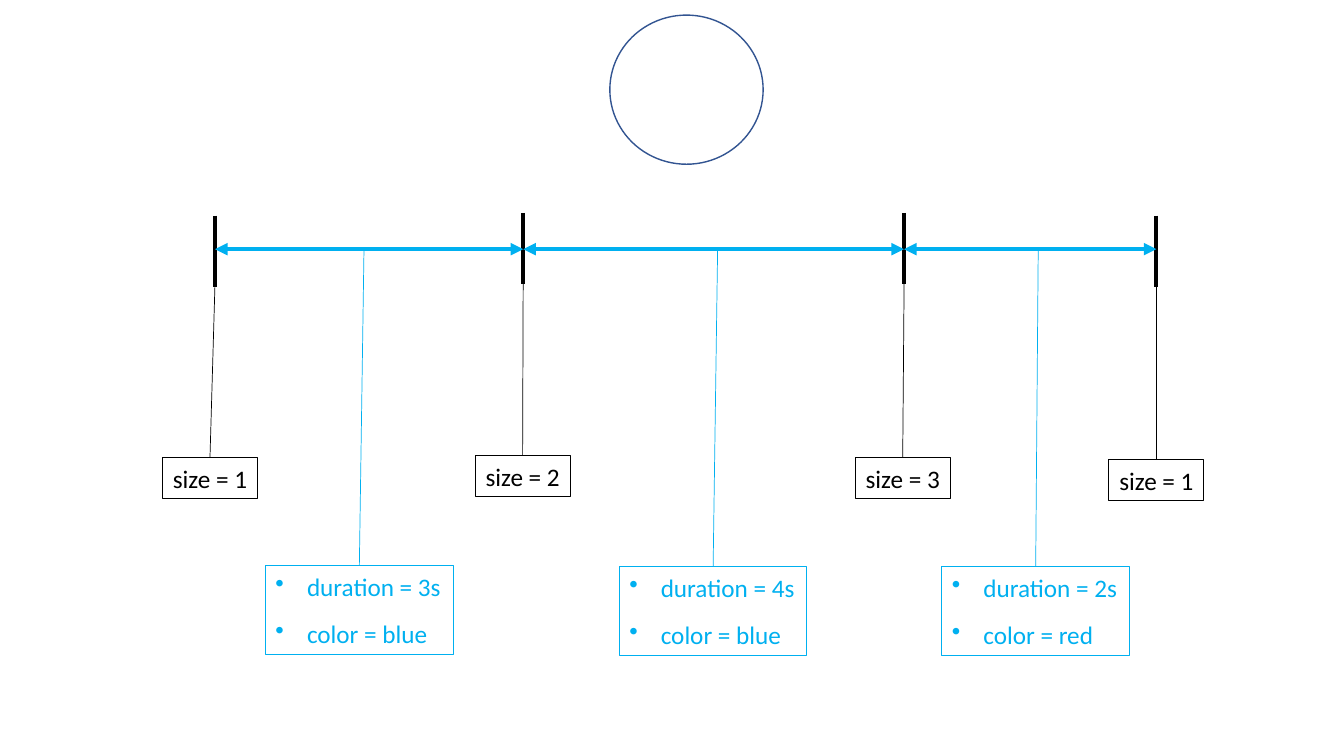
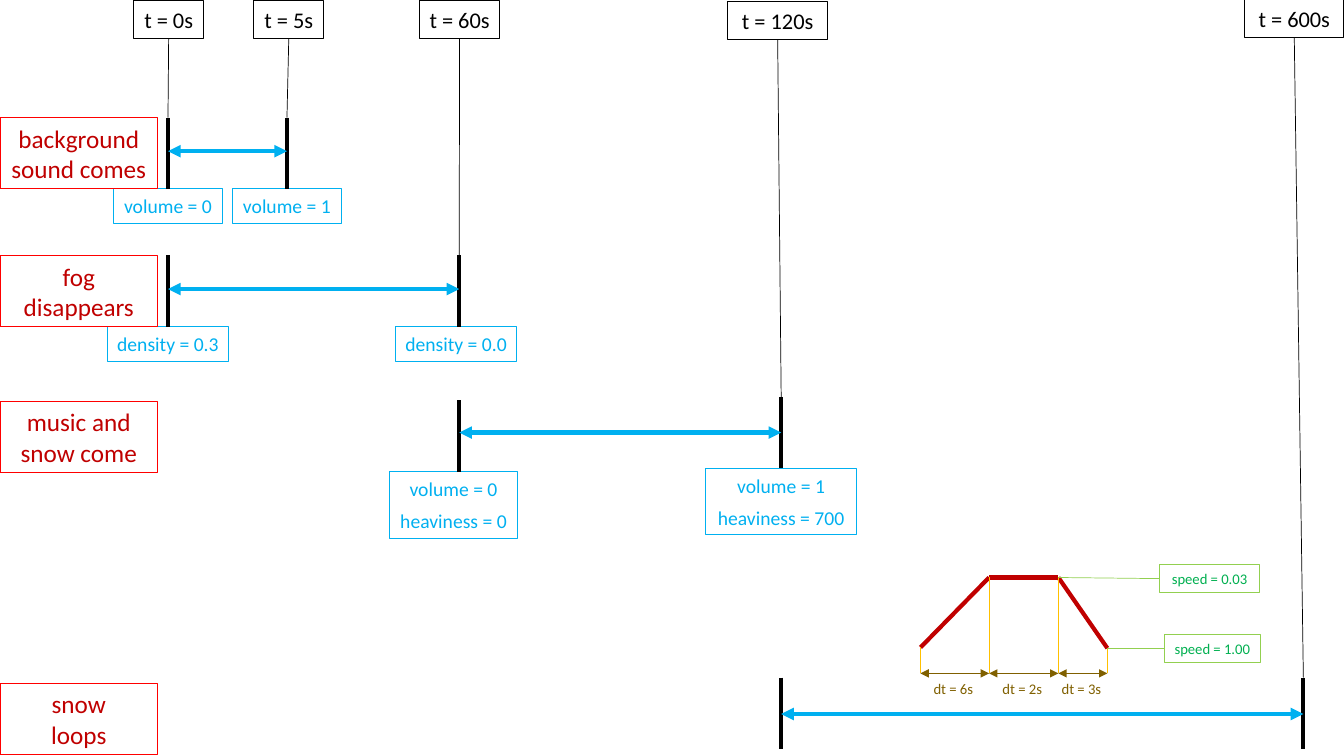
from dataclasses import dataclass
from itertools import pairwise
from typing import NamedTuple, Optional, Union

from lxml.etree import SubElement
from pptx import Presentation
from pptx.dml.color import RGBColor
from pptx.enum.shapes import MSO_CONNECTOR, MSO_SHAPE
from pptx.enum.text import MSO_ANCHOR, PP_ALIGN
from pptx.oxml.ns import qn
from pptx.shapes.autoshape import Shape
from pptx.slide import Slide
from pptx.util import Pt

FONT = "Calibri"
BLACK = RGBColor(0x00, 0x00, 0x00)
SKY = RGBColor(0x00, 0xB0, 0xF0)
NAVY = RGBColor(0x32, 0x54, 0x91)
RED = RGBColor(0xFF, 0x00, 0x00)
CRIMSON = RGBColor(0xC0, 0x00, 0x00)
BROWN = RGBColor(0x80, 0x60, 0x00)
AMBER = RGBColor(0xFF, 0xC0, 0x00)
LIME = RGBColor(0x92, 0xD0, 0x50)
GREEN = RGBColor(0x00, 0xB0, 0x50)

TICK_LENGTH = 51
CAPTION_WIDTH = 112.5
BULLET_INDENT = 22.5
TOP, LEFT, BOTTOM = 0, 1, 2


class Point(NamedTuple):
    """A place on the page, in points."""

    x: float
    y: float


class Joint(NamedTuple):
    """The middle of one side of a box."""

    box: Shape
    site: int


End = Union[Point, Joint]


@dataclass(frozen=True)
class Stroke:
    """The look of a line."""

    colour: RGBColor
    width: float
    arrows: bool = False


@dataclass(frozen=True)
class LabelStyle:
    """The look of a text label."""

    colour: RGBColor
    outline: Optional[RGBColor]
    size: float
    height: float
    space_before: float = 0
    inset: float = 0
    bulleted: bool = False


@dataclass(frozen=True)
class Label:
    """A label centred on x."""

    x: float
    top: float
    width: float
    lines: tuple[str, ...]
    style: LabelStyle


@dataclass(frozen=True)
class Mark:
    """A tick on a timeline, with the label that belongs to it."""

    x: float
    top: float
    label: Optional[Label] = None

    @property
    def bottom(self) -> Point:
        """Return the lower end of the tick."""
        return Point(self.x, self.top + TICK_LENGTH)


@dataclass(frozen=True)
class Track:
    """A captioned stretch of time between two marks."""

    caption: tuple[str, ...]
    caption_top: float
    level: float
    first: Mark
    last: Mark


TICK = Stroke(BLACK, 3)
LEADER = Stroke(BLACK, 0.5)
SPAN = Stroke(SKY, 3, arrows=True)
SPAN_LEADER = Stroke(SKY, 0.5)
PROFILE = Stroke(CRIMSON, 3)
GUIDE = Stroke(AMBER, 0.5)
STEP = Stroke(BROWN, 0.5, arrows=True)
SPEED_LEADER = Stroke(LIME, 0.5)

SIZE = LabelStyle(BLACK, BLACK, 18, 29)
DURATION = LabelStyle(SKY, SKY, 18, 63.4, space_before=12, inset=7.2, bulleted=True)
TIME = LabelStyle(BLACK, BLACK, 16, 26.6)
CAPTION = LabelStyle(CRIMSON, RED, 18, 51, inset=7.2)
VALUE = LabelStyle(SKY, SKY, 14, 24.5)
VALUES = LabelStyle(SKY, SKY, 14, 47.5, space_before=6)
STEP_TEXT = LabelStyle(BROWN, None, 10.5, 21)
SPEED = LabelStyle(GREEN, LIME, 10.5, 20)

SIZE_LEVEL = 178
SIZE_MARKS = (
    Mark(153.5, 154, Label(150, 327, 68, ("size = 1",), SIZE)),
    Mark(373.7, 152, Label(373.3, 325.5, 68, ("size = 2",), SIZE)),
    Mark(645.8, 152, Label(644.8, 327, 68, ("size = 3",), SIZE)),
    Mark(826, 154, Label(826, 328.3, 68, ("size = 1",), SIZE)),
)
DURATIONS = (
    (260, Label(256.7, 404, 134, ("duration = 3s", "color = blue"), DURATION)),
    (512.6, Label(509.4, 404.6, 134, ("duration = 4s", "color = blue"), DURATION)),
    (741.6, Label(739.8, 404.6, 134, ("duration = 2s", "color = red"), DURATION)),
)

TRACKS = (
    Track(
        ("background sound comes",), 84, 108,
        Mark(120, 84, Label(120, 135, 78.5, ("volume = 0",), VALUE)),
        Mark(205, 84, Label(205, 135, 78.5, ("volume = 1",), VALUE)),
    ),
    Track(
        ("fog disappears",), 182.5, 206.5,
        Mark(120, 182.5, Label(120, 233.5, 87, ("density = 0.3",), VALUE)),
        Mark(328, 182.5, Label(325.8, 233.5, 87, ("density = 0.0",), VALUE)),
    ),
    Track(
        ("music and snow come",), 286.5, 309,
        Mark(328, 286, Label(324, 337, 91, ("volume = 0", "heaviness = 0"), VALUES)),
        Mark(558, 283.5, Label(558, 334.5, 108, ("volume = 1", "heaviness = 700"), VALUES)),
    ),
    Track(("snow", "loops"), 488, 510, Mark(558, 484), Mark(931, 484)),
)
TIMES = (
    (Label(120.5, 0.7, 50, ("t = 0s",), TIME), Point(120, 84)),
    (Label(206.3, 0.7, 50, ("t = 5s",), TIME), Point(205, 84)),
    (Label(328.3, 0.7, 57.6, ("t = 60s",), TIME), Point(328, 182.5)),
    (Label(555.5, 1.4, 71, ("t = 120s",), TIME), Point(558, 283.5)),
    (Label(924.5, 0, 71, ("t = 600s",), TIME), Point(931, 484)),
)

LOOP = (Point(657.5, 462.5), Point(706.5, 412.5), Point(756, 412.5), Point(791, 463))
LOOP_BASE = 481
STEP_NAMES = ("dt = 6s", "dt = 2s", "dt = 3s")
SPEEDS = (
    (LOOP[2], Label(864, 403.3, 72, ("speed = 0.03",), SPEED)),
    (LOOP[3], Label(866, 453, 69, ("speed = 1.00",), SPEED)),
)


def place_of(end: End) -> Point:
    """Return the point where a line ends."""
    if isinstance(end, Point):
        return end
    box = end.box
    across = {TOP: 0.5, LEFT: 0, BOTTOM: 0.5}[end.site]
    down = {TOP: 0, LEFT: 0.5, BOTTOM: 1}[end.site]
    return Point((box.left + box.width * across) / Pt(1), (box.top + box.height * down) / Pt(1))


def draw_line(page: Slide, start: End, end: End, stroke: Stroke) -> None:
    """Draw a straight line and join it to the boxes at its ends."""
    first, last = place_of(start), place_of(end)
    line = page.shapes.add_connector(
        MSO_CONNECTOR.STRAIGHT, Pt(first.x), Pt(first.y), Pt(last.x), Pt(last.y)
    )
    if isinstance(start, Joint):
        line.begin_connect(start.box, start.site)
    if isinstance(end, Joint):
        line.end_connect(end.box, end.site)
    line.line.color.rgb = stroke.colour
    line.line.width = Pt(stroke.width)
    properties = line.element.spPr
    if stroke.arrows:
        outline = properties.find(qn("a:ln"))
        for tag in ("a:headEnd", "a:tailEnd"):
            SubElement(outline, qn(tag), type="triangle")
    SubElement(properties, qn("a:effectLst"))


def draw_label(page: Slide, label: Label) -> Shape:
    """Draw a label and return its box."""
    style = label.style
    box = page.shapes.add_textbox(
        Pt(label.x - label.width / 2), Pt(label.top), Pt(label.width), Pt(style.height)
    )
    if style.outline is not None:
        box.line.color.rgb = style.outline
        box.line.width = Pt(0.75)
    frame = box.text_frame
    frame.word_wrap = True
    frame.vertical_anchor = MSO_ANCHOR.MIDDLE
    frame.margin_left = frame.margin_right = Pt(style.inset)
    for index, line in enumerate(label.lines):
        para = frame.add_paragraph() if index else frame.paragraphs[0]
        para.text = line
        para.alignment = PP_ALIGN.LEFT if style.bulleted else PP_ALIGN.CENTER
        para.space_before = Pt(style.space_before)
        para.font.name = FONT
        para.font.size = Pt(style.size)
        para.font.color.rgb = style.colour
    if style.bulleted:
        add_bullets(box)
    return box


def add_bullets(box: Shape) -> None:
    """Give each paragraph of a box a hanging bullet."""
    for properties in box.element.iter(qn("a:pPr")):
        properties.set("marL", str(Pt(BULLET_INDENT)))
        properties.set("indent", str(-Pt(BULLET_INDENT)))
        bullet = SubElement(properties, qn("a:buChar"), char="•")
        properties.find(qn("a:defRPr")).addprevious(bullet)


def draw_mark(page: Slide, mark: Mark) -> None:
    """Draw a tick, its label and the line or joint between them."""
    bottom: End = mark.bottom
    if mark.label is not None:
        joint = Joint(draw_label(page, mark.label), TOP)
        if mark.label.top > mark.bottom.y:
            draw_line(page, bottom, joint, LEADER)
        elif mark.label.x == mark.x:
            bottom = joint
    draw_line(page, Point(mark.x, mark.top), bottom, TICK)


def draw_span(page: Slide, first: float, last: float, level: float, stroke: Stroke) -> None:
    """Draw a level double arrow."""
    draw_line(page, Point(first, level), Point(last, level), stroke)


def build_sizes(page: Slide) -> None:
    """Build the slide with sizes and durations."""
    circle = page.shapes.add_shape(MSO_SHAPE.OVAL, Pt(435.6), Pt(10.8), Pt(109.5), Pt(106.5))
    circle.shadow.inherit = False
    circle.fill.background()
    circle.line.color.rgb = NAVY
    circle.line.width = Pt(1)
    for mark in SIZE_MARKS:
        draw_mark(page, mark)
    for first, last in pairwise(SIZE_MARKS):
        draw_span(page, first.x, last.x, SIZE_LEVEL, SPAN)
    for x, label in DURATIONS:
        draw_line(page, Point(x, SIZE_LEVEL), Joint(draw_label(page, label), TOP), SPAN_LEADER)


def build_tracks(page: Slide) -> None:
    """Build the slide with the timeline of events."""
    for track in TRACKS:
        for mark in (track.first, track.last):
            draw_mark(page, mark)
        draw_span(page, track.first.x, track.last.x, track.level, SPAN)
        draw_label(
            page, Label(CAPTION_WIDTH / 2, track.caption_top, CAPTION_WIDTH, track.caption, CAPTION)
        )
    for label, end in TIMES:
        draw_line(page, Joint(draw_label(page, label), BOTTOM), end, LEADER)
    build_loop(page)


def build_loop(page: Slide) -> None:
    """Draw the speed profile of one snow loop."""
    for (first, last), name in zip(pairwise(LOOP), STEP_NAMES):
        draw_line(page, first, last, PROFILE)
        draw_span(page, first.x, last.x, LOOP_BASE, STEP)
        draw_label(page, Label((first.x + last.x) / 2 - 1, LOOP_BASE, 44, (name,), STEP_TEXT))
    for corner in LOOP:
        draw_line(page, corner, Point(corner.x, LOOP_BASE), GUIDE)
    for corner, label in SPEEDS:
        draw_line(page, corner, Joint(draw_label(page, label), LEFT), SPEED_LEADER)


def main() -> None:
    """Build and save the deck."""
    deck = Presentation()
    deck.slide_width, deck.slide_height = Pt(960), Pt(540)
    blank = deck.slide_layouts[6]
    for build in (build_sizes, build_tracks):
        build(deck.slides.add_slide(blank))
    deck.save("out.pptx")


if __name__ == "__main__":
    main()
